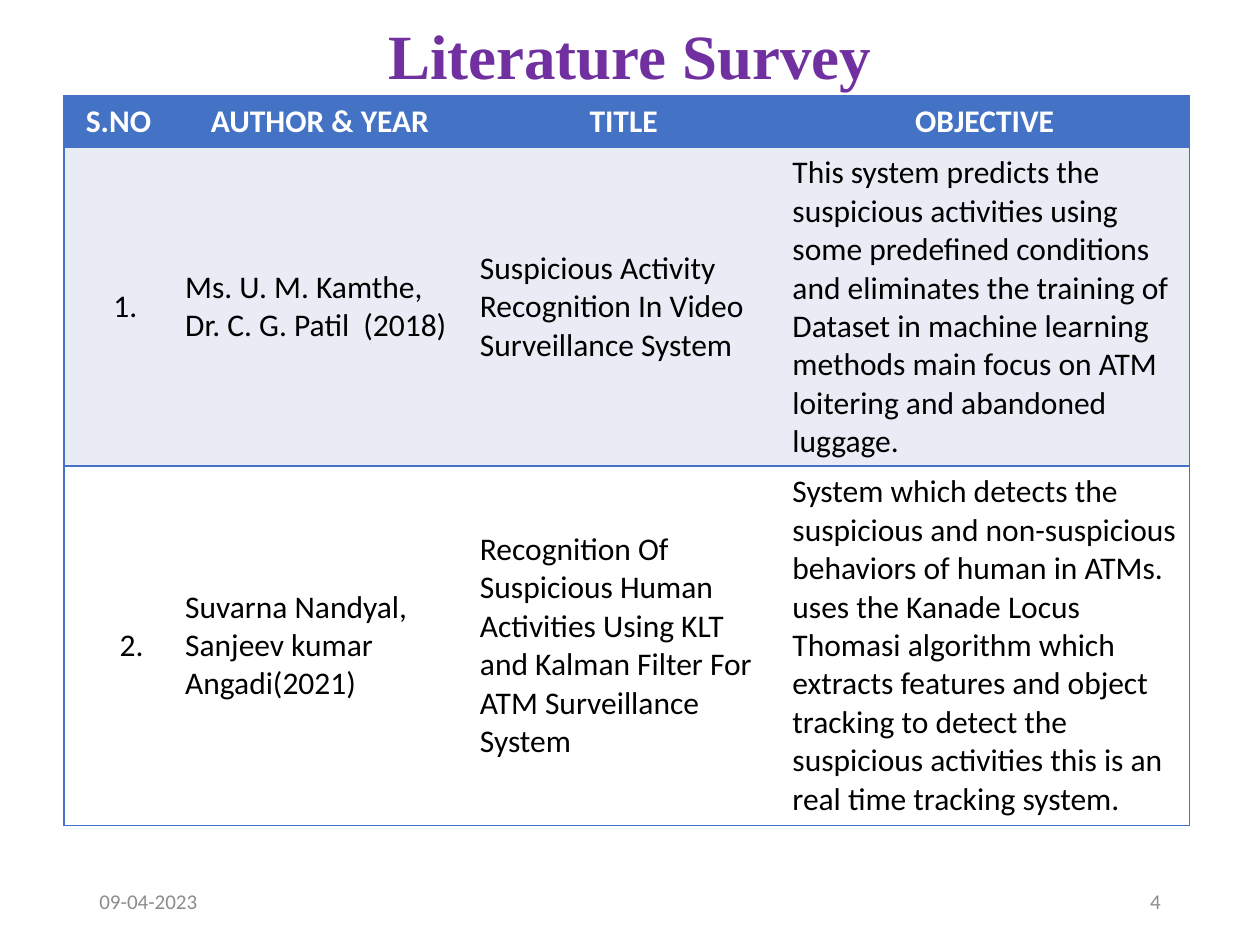
from dataclasses import dataclass

from lxml.etree import SubElement
from pptx import Presentation
from pptx.dml.color import RGBColor
from pptx.enum.text import MSO_ANCHOR, MSO_AUTO_SIZE, PP_ALIGN
from pptx.oxml.ns import qn
from pptx.util import Inches, Pt


@dataclass(frozen=True)
class Theme:
    head: str = "Times New Roman"
    body: str = "Calibri"
    purple: str = "7030A0"
    blue: str = "4472C4"
    pale: str = "E9EBF5"
    white: str = "FFFFFF"
    black: str = "000000"
    gray: str = "8C8C8C"
    title: int = 36
    text: int = 18
    small: int = 12
    line: int = 1


THEME = Theme()
COLS = [0.86, 2.34, 2.48, 3.25]
HEIGHTS = [0.41, 2.53, 2.85]
INDENTS = [0.1, 0.39, 0.44]  # left margin of the number in each row
ROWS = [
    ["S.NO", "AUTHOR & YEAR", "TITLE", "OBJECTIVE"],
    [
        "1.",
        "Ms. U. M. Kamthe,\nDr. C. G. Patil  (2018)",
        "Suspicious Activity Recognition In Video Surveillance System",
        "This system predicts the suspicious activities using some "
        "predefined conditions\n"
        "and eliminates the training of Dataset in machine learning methods "
        "main focus on ATM loitering and abandoned luggage.",
    ],
    [
        "2.",
        "Suvarna Nandyal, Sanjeev kumar Angadi(2021)",
        "Recognition Of Suspicious Human Activities Using KLT and Kalman "
        "Filter For ATM Surveillance System",
        "System which detects the suspicious and non-suspicious behaviors "
        "of human in ATMs.\n"
        "uses the Kanade Locus Thomasi algorithm which extracts features and "
        "object tracking to detect the suspicious activities this is an real "
        "time tracking system.",
    ],
]


def write(frame, text, font, size, color, bold=False, align=PP_ALIGN.LEFT):
    frame.text = text
    frame.word_wrap = True
    for para in frame.paragraphs:
        para.alignment = align
        for run in para.runs:
            run.font.name = font
            run.font.size = Pt(size)
            run.font.bold = bold
            run.font.color.rgb = RGBColor.from_string(color)


def add_title(slide, box, text):
    title = slide.shapes.title
    title.left, title.top, title.width, title.height = map(Inches, box)
    frame = title.text_frame
    write(frame, text, THEME.head, THEME.title, THEME.purple, True,
          PP_ALIGN.CENTER)
    frame.auto_size = MSO_AUTO_SIZE.NONE
    frame.vertical_anchor = MSO_ANCHOR.MIDDLE
    frame.paragraphs[0].line_spacing = 0.9


def add_footer(slide, box, date, number):
    left, top, width, height = box
    part = 2.25
    for x, text, align in [(left, date, PP_ALIGN.LEFT),
                           (left + width - part, number, PP_ALIGN.RIGHT)]:
        note = slide.shapes.add_textbox(
            Inches(x), Inches(top), Inches(part), Inches(height))
        write(note.text_frame, text, THEME.body, THEME.small, THEME.gray,
              align=align)
        note.text_frame.vertical_anchor = MSO_ANCHOR.MIDDLE


def set_edges(cell, sides):
    """Rule the named sides (of L, R, T, B) and clear the others."""
    props = cell._tc.get_or_add_tcPr()
    for side in "LRTB":
        line = SubElement(props, qn(f"a:ln{side}"), w=str(Pt(THEME.line)))
        if side in sides:
            fill = SubElement(line, qn("a:solidFill"))
            SubElement(fill, qn("a:srgbClr"), val=THEME.blue)
        else:
            SubElement(line, qn("a:noFill"))


def add_survey(slide, box, rows):
    table = slide.shapes.add_table(
        len(rows), len(COLS), *map(Inches, box)).table
    for col, width in zip(table.columns, COLS):
        col.width = Inches(width)
    for r, row in enumerate(rows):
        table.rows[r].height = Inches(HEIGHTS[r])
        head = r == 0
        fill = THEME.blue if head else (THEME.white, THEME.pale)[r % 2]
        for c, text in enumerate(row):
            cell = table.cell(r, c)
            set_edges(cell, "TB" + "L" * (c == 0)
                      + "R" * (c == len(row) - 1))
            cell.fill.solid()
            cell.fill.fore_color.rgb = RGBColor.from_string(fill)
            cell.vertical_anchor = MSO_ANCHOR.MIDDLE
            if c == 0:
                cell.margin_left = Inches(INDENTS[r])
            write(cell.text_frame, text, THEME.body, THEME.text,
                  THEME.white if head else THEME.black, head,
                  PP_ALIGN.CENTER if head else PP_ALIGN.LEFT)


def main():
    deck = Presentation()
    deck.slide_width, deck.slide_height = Inches(10), Inches(7.5)
    slide = deck.slides.add_slide(deck.slide_layouts[5])
    add_title(slide, (0.69, 0.18, 8.62, 0.58), "Literature Survey")
    add_footer(slide, (0.69, 6.95, 8.62, 0.4), "09-04-2023", "4")
    add_survey(slide, (0.51, 0.76, sum(COLS), sum(HEIGHTS)), ROWS)
    deck.save("out.pptx")


if __name__ == "__main__":
    main()
